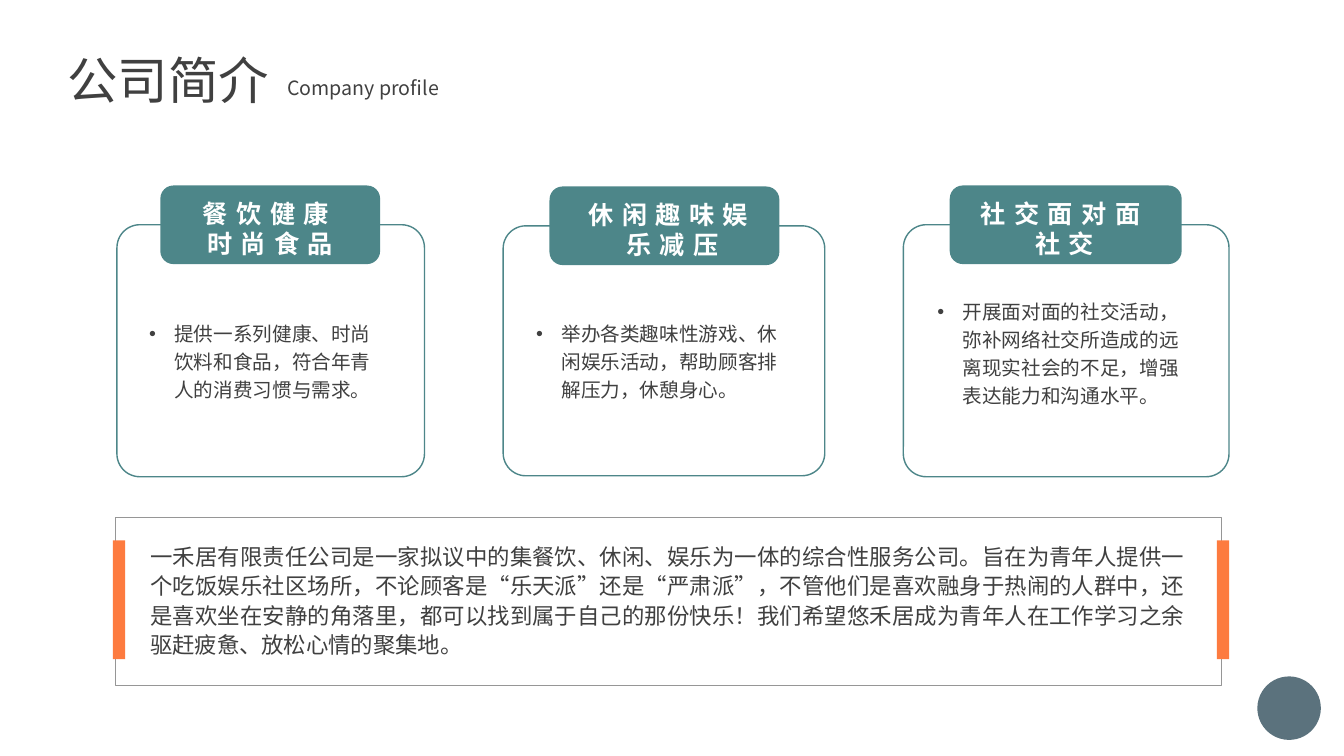
from lxml.etree import SubElement
from pptx import Presentation
from pptx.dml.color import RGBColor
from pptx.enum.lang import MSO_LANGUAGE_ID as Language
from pptx.enum.shapes import MSO_SHAPE as Shape
from pptx.enum.text import MSO_AUTO_SIZE as AutoSize, PP_ALIGN as Align
from pptx.oxml.ns import qn
from pptx.util import Inches, Pt

FONT = "Noto Sans CJK SC"
COLORS = {
    "text": "404040",
    "white": "FFFFFF",
    "teal": "4D8689",
    "orange": "FD7B3F",
    "slate": "5B727D",
    "border": "969696",
}
HEADINGS = [
    ("公司简介", (0.57, 0.44, 2.24, 0.71), 36),
    ("Company profile", (2.75, 0.7, 2.63, 0.34), 14),
]
CARDS = [
    {
        "title": "餐饮健康时尚食品",
        "body": "提供一系列健康、时尚饮料和食品，符合年青人的消费习惯与需求。",
        "frame": (1.16, 2.23, 3.05, 2.5),
        "body_box": (1.38, 3.1, 2.59, 0.94),
        "tab": (1.59, 1.84, 2.18),
        "title_width": 1.86,
    },
    {
        "title": "休闲趣味娱乐减压",
        "body": "举办各类趣味性游戏、休闲娱乐活动，帮助顾客排解压力，休憩身心。",
        "frame": (4.99, 2.24, 3.19, 2.48),
        "body_box": (5.22, 3.1, 2.7, 0.94),
        "tab": (5.45, 1.85, 2.28),
        "title_width": 2.12,
    },
    {
        "title": "社交面对面社交",
        "body": "开展面对面的社交活动，弥补网络社交所造成的远离现实社会的不足，增强表达能力和沟通水平。",
        "frame": (8.96, 2.23, 3.23, 2.5),
        "body_box": (9.2, 2.88, 2.73, 1.22),
        "tab": (9.42, 1.84, 2.3),
        "title_width": 1.96,
    },
]
SUMMARY = (
    "一禾居有限责任公司是一家拟议中的集餐饮、休闲、娱乐为一体的综合性服务公司。"
    "旨在为青年人提供一个吃饭娱乐社区场所，不论顾客是“乐天派”还是“严肃派”，"
    "不管他们是喜欢融身于热闹的人群中，还是喜欢坐在安静的角落里，"
    "都可以找到属于自己的那份快乐！我们希望悠禾居成为青年人在工作学习之余"
    "驱赶疲惫、放松心情的聚集地。"
)
TAB_HEIGHT = 0.78
TITLE_OFFSET = (0.16, 0.08)
TITLE_HEIGHT = 0.71
BAR_LEFTS = (1.12, 12.07)


def add_box(shapes, kind, box, fill=None, line=None, width=1, corner=None):
    shape = shapes.add_shape(kind, *map(Inches, box))
    shape.shadow.inherit = False
    if corner is not None:
        shape.adjustments[0] = corner
    if fill:
        shape.fill.solid()
        shape.fill.fore_color.rgb = RGBColor.from_string(COLORS[fill])
    else:
        shape.fill.background()
    if line:
        shape.line.color.rgb = RGBColor.from_string(COLORS[line])
        shape.line.width = Pt(width)
    else:
        shape.line.fill.background()
    return shape


def add_text(shapes, text, box, size, color="text", bold=False, align=None, spacing=None):
    text_frame = shapes.add_textbox(*map(Inches, box)).text_frame
    text_frame.word_wrap = True
    text_frame.auto_size = AutoSize.SHAPE_TO_FIT_TEXT
    text_frame.text = text
    paragraph = text_frame.paragraphs[0]
    paragraph.alignment = align
    paragraph.line_spacing = spacing
    font = paragraph.runs[0].font
    font.size = Pt(size)
    font.bold = bold
    font.color.rgb = RGBColor.from_string(COLORS[color])
    font.name = FONT
    font.language_id = Language.SIMPLIFIED_CHINESE
    properties = paragraph.runs[0]._r.get_or_add_rPr()
    SubElement(properties, qn("a:ea")).set("typeface", FONT)
    return paragraph


def add_bullet(paragraph):
    properties = paragraph._p.get_or_add_pPr()
    properties.set("marL", str(Inches(0.25)))
    properties.set("indent", str(-Inches(0.25)))
    SubElement(properties, qn("a:buFont")).set("typeface", "Arial")
    SubElement(properties, qn("a:buChar")).set("char", "•")


def add_card(slide, card):
    shapes = slide.shapes.add_group_shape().shapes
    add_box(shapes, Shape.ROUNDED_RECTANGLE, card["frame"], line="teal", corner=0.091)
    add_bullet(add_text(shapes, card["body"], card["body_box"], 14, spacing=Pt(20)))
    left, top, width = card["tab"]
    add_box(shapes, Shape.ROUNDED_RECTANGLE, (left, top, width, TAB_HEIGHT),
            fill="teal", corner=0.167)
    title_box = (left + TITLE_OFFSET[0], top + TITLE_OFFSET[1],
                 card["title_width"], TITLE_HEIGHT)
    title = add_text(shapes, card["title"], title_box, 18, "white", True, Align.CENTER)
    title.runs[0]._r.get_or_add_rPr().set("spc", "600")


def add_summary(slide):
    shapes = slide.shapes.add_group_shape().shapes
    add_box(shapes, Shape.RECTANGLE, (1.15, 5.13, 10.97, 1.67), "white", "border", 0.75)
    for left in BAR_LEFTS:
        add_box(shapes, Shape.RECTANGLE, (left, 5.36, 0.12, 1.18), "orange")
    add_text(shapes, SUMMARY, (1.39, 5.31, 10.47, 1.28), 16,
             align=Align.JUSTIFY, spacing=1.1)


def main():
    """Build the company profile slide."""
    presentation = Presentation()
    presentation.slide_width = Inches(13.33)
    presentation.slide_height = Inches(7.5)
    slide = presentation.slides.add_slide(presentation.slide_layouts[6])
    add_box(slide.shapes, Shape.OVAL, (12.47, 6.71, 0.63, 0.63), "slate").rotation = 159
    for text, box, size in HEADINGS:
        add_text(slide.shapes, text, box, size)
    for card in CARDS:
        add_card(slide, card)
    add_summary(slide)
    presentation.save("out.pptx")


if __name__ == "__main__":
    main()
